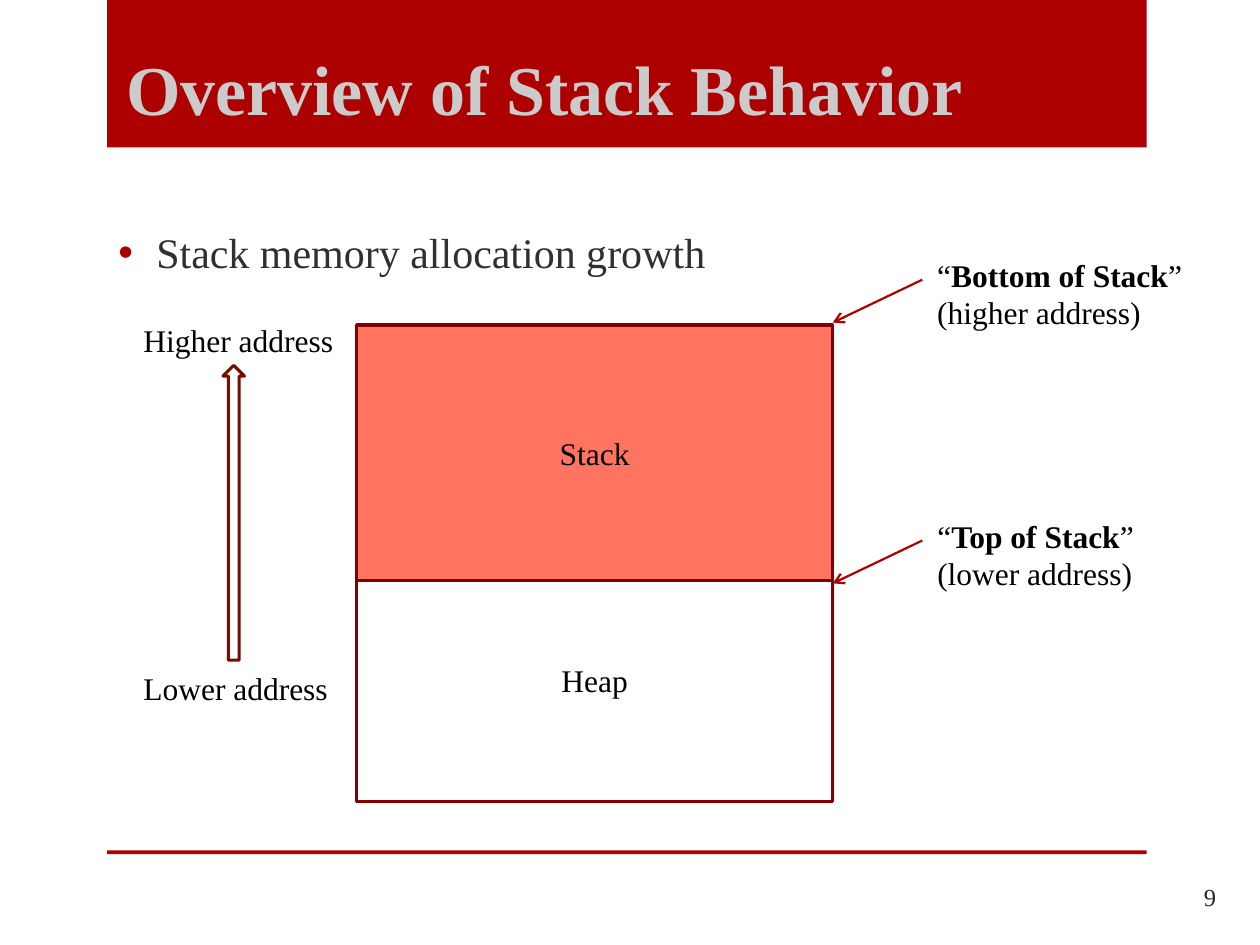
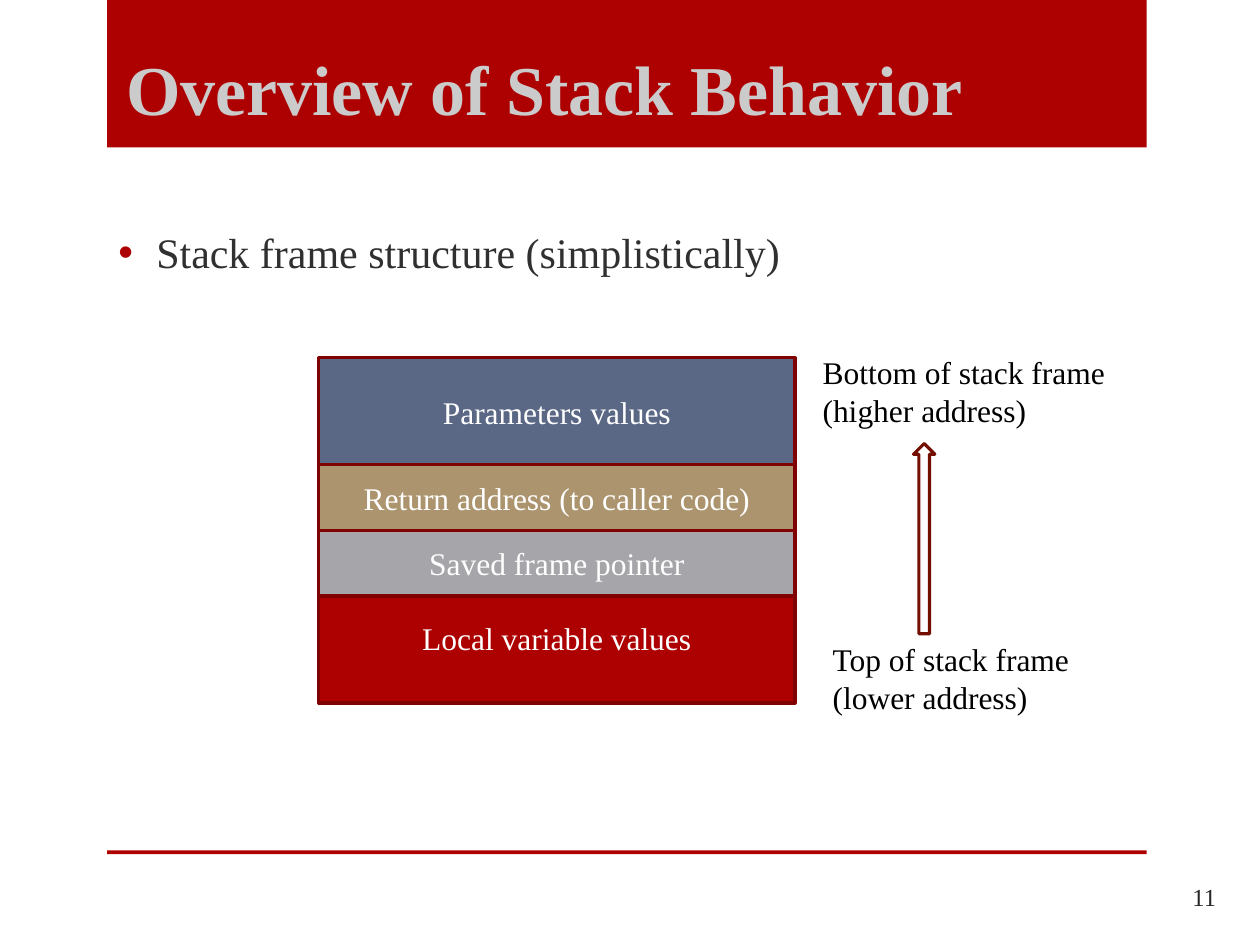
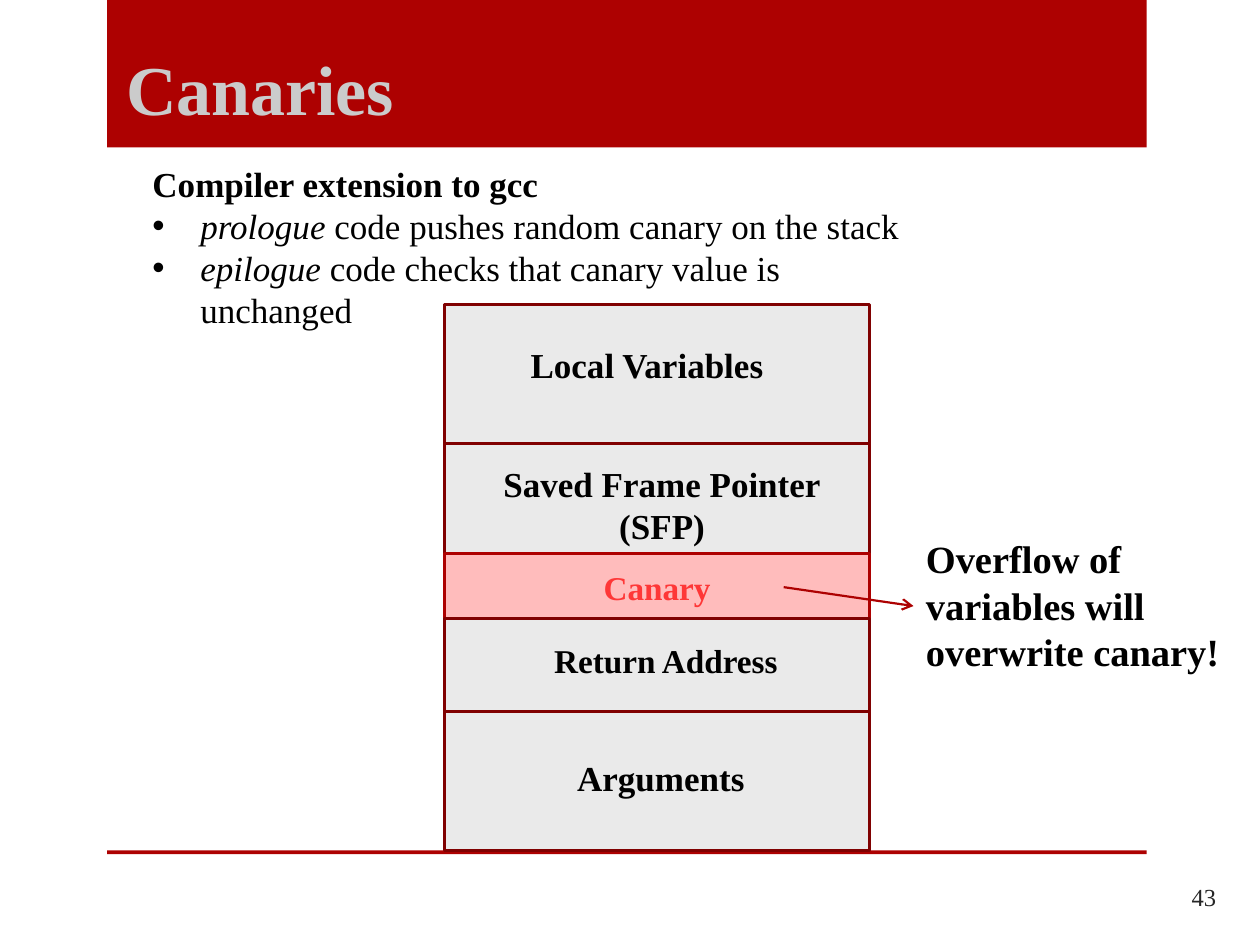
import pptx
import pptx.util
import pptx.dml.color
import pptx.enum.shapes
import pptx.enum.text
import pptx.oxml.ns
from lxml import etree

Inches = pptx.util.Inches
MSO_SHAPE = pptx.enum.shapes.MSO_SHAPE
ANCHOR = pptx.enum.text.MSO_ANCHOR
ALIGN = pptx.enum.text.PP_ALIGN

FONT = "Times New Roman"
COLORS = {
    "red": "AD0101", "title": "CBCBCB", "body": "303030", "number": "262626",
    "black": "000000", "white": "FFFFFF", "border": "800101", "arrow": "730E00",
    "coral": "FF7461", "slate": "5A6885", "tan": "AC956E", "silver": "A5A5AA",
    "pale": "EAEAEA", "pink": "FFBCBC", "canary": "FE3737",
}


def rgb(name):
    """Return the named colour."""
    return pptx.dml.color.RGBColor.from_string(COLORS[name])


def sub(parent, tag, **attrs):
    """Append a drawing element to a parent."""
    return etree.SubElement(parent, pptx.oxml.ns.qn(tag), **attrs)


def format_runs(p, size, color, styles=""):
    """Format the runs of a paragraph, one style letter (b, i or -) per run."""
    for r, style in zip(p.runs, styles or "-" * len(p.runs)):
        r.font.name = FONT
        r.font.size = pptx.util.Pt(size)
        r.font.color.rgb = rgb(color)
        r.font.bold = style == "b"
        r.font.italic = style == "i"


def add_runs(p, parts, size, color="black"):
    """Fill a paragraph with (text, style) parts."""
    for text, _ in parts:
        p.add_run().text = text
    format_runs(p, size, color, [style for _, style in parts])


def set_bullet(p, indent, color):
    """Give a paragraph a hanging round bullet."""
    pPr = p._p.get_or_add_pPr()
    pPr.set("marL", str(Inches(indent)))
    pPr.set("indent", str(-Inches(indent)))
    sub(sub(pPr, "a:buClr"), "a:srgbClr", val=COLORS[color])
    sub(pPr, "a:buFont", typeface="Arial")
    sub(pPr, "a:buChar", char="•")


def place(sp, left, top, width, height):
    """Move and size a shape in inches."""
    sp.left, sp.top, sp.width, sp.height = map(Inches, (left, top, width, height))


def add_box(s, kind, box, fill, line=None):
    """Add a flat preset shape."""
    sp = s.shapes.add_shape(kind, *map(Inches, box))
    sp.shadow.inherit = False
    sp.fill.solid()
    sp.fill.fore_color.rgb = rgb(fill)
    if line:
        sp.line.color.rgb = rgb(line)
        sp.line.width = pptx.util.Pt(1.75)
    else:
        sp.line.fill.background()
    return sp


def add_label(s, box, lines, size=18):
    """Add a text box with one paragraph for each list of parts."""
    tf = s.shapes.add_textbox(*map(Inches, box)).text_frame
    tf.word_wrap = True
    for i, parts in enumerate(lines):
        add_runs(tf.add_paragraph() if i else tf.paragraphs[0], parts, size)
    return tf


def add_pointer(s, x1, y1, x2, y2):
    """Add a thin red arrow."""
    c = s.shapes.add_connector(pptx.enum.shapes.MSO_CONNECTOR.STRAIGHT,
                               *map(Inches, (x1, y1, x2, y2)))
    c.line.color.rgb = rgb("red")
    c.line.width = pptx.util.Pt(1.25)
    sub(c.line._get_or_add_ln(), "a:tailEnd", type="arrow")
    sub(c._element.spPr, "a:effectLst")


def add_growth_arrow(s, left, top, height):
    """Add the block arrow that points to higher addresses."""
    add_box(s, MSO_SHAPE.UP_ARROW, (left, top, 0.17, height), "white", "arrow")


def add_callout(s, left, top, width, name, note):
    """Add a quoted name and note with an arrow to the lower left."""
    add_pointer(s, left - 0.02, top + 0.24, left - 0.73, top + 0.58)
    add_label(s, (left, top, width, 0.71),
              [[("“", "-"), (name, "b"), ("”", "-")], [(note, "-")]])


def add_memory(s, left, top, width, rows, style="-"):
    """Stack memory regions downwards from a top left corner."""
    for text, height, fill, color, size, (dx, dy) in rows:
        line = "red" if fill == "pink" else "border"
        sp = add_box(s, MSO_SHAPE.RECTANGLE, (left, top, width, height), fill, line)
        tf = sp.text_frame
        tf.word_wrap = True
        tf.vertical_anchor = ANCHOR.MIDDLE
        tf.margin_left, tf.margin_right = Inches(0.1 + dx), Inches(0.1 - dx)
        tf.margin_top, tf.margin_bottom = Inches(0.1 + dy), Inches(0.1 - dy)
        tf.text = text
        for p in tf.paragraphs:
            p.alignment = ALIGN.CENTER
            format_runs(p, size, color, style)
        top += height


def new_slide(prs, title, number):
    """Add a slide with red band, rule, title and number."""
    s = prs.slides.add_slide(prs.slide_layouts[1])
    sp = s.shapes.title
    for top, height in ((0, 1.17), (6.75, 0.03)):
        bar = add_box(s, MSO_SHAPE.RECTANGLE, (0.85, top, 8.25, height), "red")
        sp.element.addprevious(bar.element)
    place(sp, 0.9, 0, 7.42, 1.08)
    tf = sp.text_frame
    tf.text = title
    tf.auto_size = pptx.enum.text.MSO_AUTO_SIZE.NONE
    tf.vertical_anchor = ANCHOR.BOTTOM
    tf.paragraphs[0].alignment = ALIGN.LEFT
    format_runs(tf.paragraphs[0], 40, "title", "b")
    tf = add_label(s, (8.92, 6.92, 0.83, 0.4), [[(number, "-")]])
    tf.vertical_anchor = ANCHOR.MIDDLE
    tf.paragraphs[0].alignment = ALIGN.RIGHT
    format_runs(tf.paragraphs[0], 14, "number")
    return s


def open_body(s, *box):
    """Place the body placeholder and return its text frame."""
    sp = s.placeholders[1]
    place(sp, *box)
    tf = sp.text_frame
    tf.auto_size = pptx.enum.text.MSO_AUTO_SIZE.NONE
    tf.vertical_anchor = ANCHOR.TOP
    return tf


def add_topic(s, text):
    """Write the single bullet of an overview slide."""
    tf = open_body(s, 0.84, 1.33, 8.25, 4.92)
    tf.margin_top = Inches(0.47)
    p = tf.paragraphs[0]
    set_bullet(p, 0.3, "red")
    p.space_before = pptx.util.Pt(0)
    add_runs(p, [(text, "-")], 24, "body")


def growth_slide(prs):
    """Build the slide on stack growth."""
    s = new_slide(prs, "Overview of Stack Behavior", "9")
    add_topic(s, "Stack memory allocation growth")
    add_memory(s, 2.83, 2.58, 3.78, [
        ("Stack", 2.03, "coral", "black", 18, (0, 0)),
        ("Heap", 1.75, "white", "black", 18, (0, -0.09)),
    ])
    add_label(s, (1.04, 2.5, 1.74, 0.4), [[("Higher address", "-")]])
    add_label(s, (1.04, 5.26, 1.74, 0.4), [[("Lower address", "-")]])
    add_growth_arrow(s, 1.77, 2.9, 2.34)
    add_callout(s, 7.34, 1.98, 2.17, "Bottom of Stack", "(higher address)")
    add_callout(s, 7.34, 4.05, 1.79, "Top of Stack", "(lower address)")


def frame_slide(prs):
    """Build the slide on the stack frame."""
    s = new_slide(prs, "Overview of Stack Behavior", "11")
    add_topic(s, "Stack frame structure (simplistically)")
    add_memory(s, 2.53, 2.84, 3.78, [
        ("Parameters values", 0.85, "slate", "white", 18, (0, 0)),
        ("Return address (to caller code)", 0.52, "tan", "white", 18, (0, 0)),
        ("Saved frame pointer", 0.52, "silver", "white", 18, (0, 0)),
        ("Local variable values", 0.85, "red", "white", 18, (0, -0.09)),
    ])
    add_label(s, (6.43, 2.75, 2.48, 0.71),
              [[("Bottom of stack frame", "-")], [("(higher address)", "-")]])
    add_growth_arrow(s, 7.25, 3.52, 1.51)
    add_label(s, (6.51, 5.03, 2.08, 0.71),
              [[("Top of stack frame", "-")], [("(lower address)", "-")]])


def canary_slide(prs):
    """Build the slide on canaries."""
    s = new_slide(prs, "Canaries", "43")
    tf = open_body(s, 1.11, 1.24, 6.14, 1.45)
    lines = [
        [("Compiler extension to gcc", "b")],
        [("prologue", "i"), (" code pushes random canary on the stack", "-")],
        [("epilogue", "i"), (" code checks that canary value is unchanged", "-")],
    ]
    for i, parts in enumerate(lines):
        p = tf.add_paragraph() if i else tf.paragraphs[0]
        if i:
            set_bullet(p, 0.38, "black")
        else:
            pPr = p._p.get_or_add_pPr()
            pPr.set("marL", "0")
            pPr.set("indent", "0")
            sub(pPr, "a:buNone")
        p.space_before = pptx.util.Pt(0)
        add_runs(p, parts, 20)
    add_memory(s, 3.53, 2.42, 3.37, [
        ("Local Variables", 1.1, "pale", "black", 20, (-0.08, -0.08)),
        ("Saved Frame Pointer\n(SFP)", 0.87, "pale", "black", 20, (0.04, 0.05)),
        ("Canary", 0.52, "pink", "canary", 19, (0, 0.01)),
        ("Return Address", 0.74, "pale", "black", 19, (0.07, -0.04)),
        ("Arguments", 1.1, "pale", "black", 20, (0.03, -0.03)),
    ], "b")
    add_pointer(s, 6.22, 4.66, 7.25, 4.81)
    add_label(s, (7.25, 4.2, 2.75, 1.21),
              [[("Overflow of variables will overwrite canary!", "b")]], 22)


def main():
    """Build and save the presentation."""
    prs = pptx.Presentation()
    prs.slide_width, prs.slide_height = Inches(10), Inches(7.5)
    growth_slide(prs)
    frame_slide(prs)
    canary_slide(prs)
    prs.save("out.pptx")


if __name__ == "__main__":
    main()
